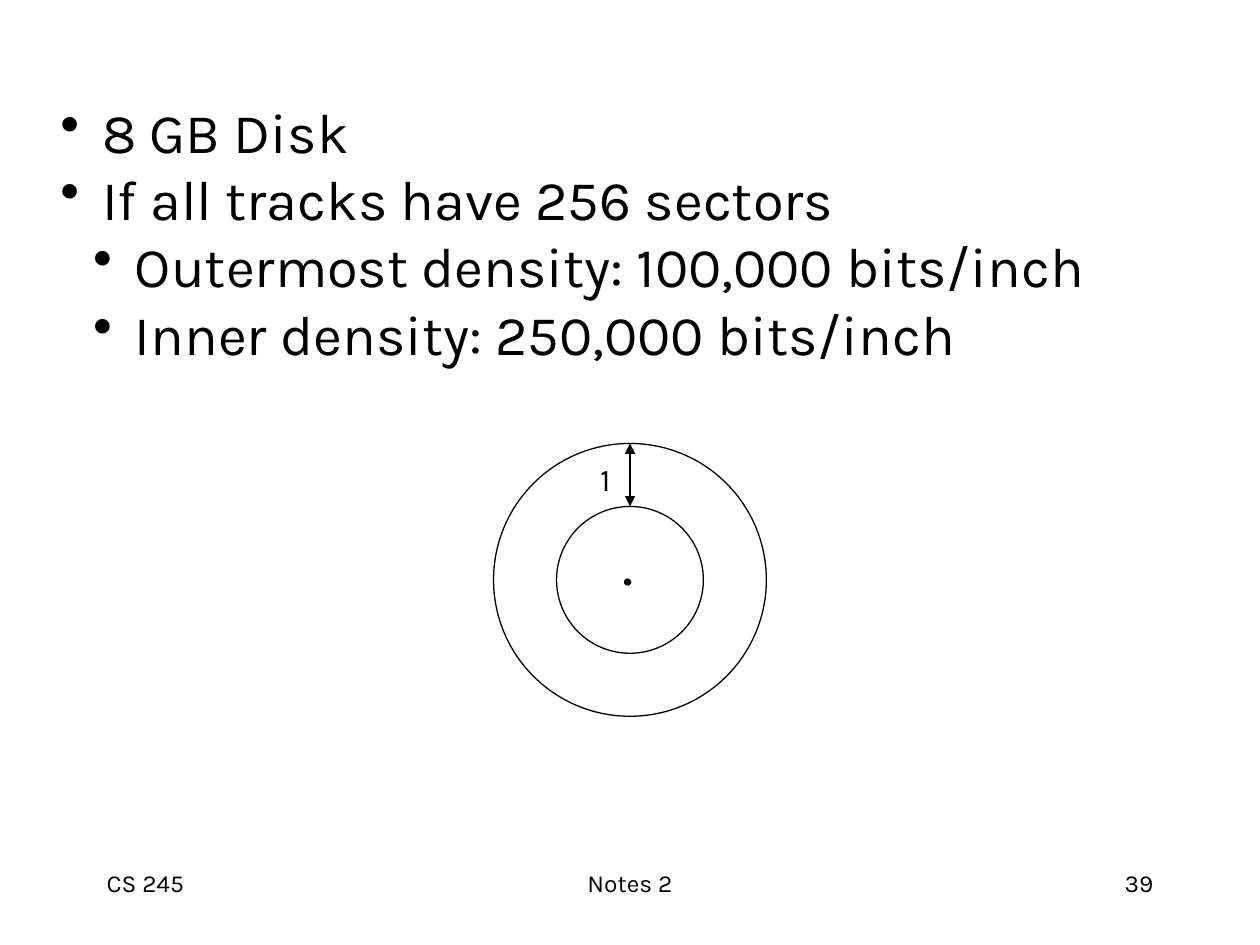
from dataclasses import dataclass

from lxml import etree
from pptx import Presentation
from pptx.dml.color import RGBColor
from pptx.enum.shapes import MSO_CONNECTOR, MSO_SHAPE
from pptx.enum.text import MSO_ANCHOR, PP_ALIGN
from pptx.oxml.ns import qn
from pptx.util import Cm, Pt

LEFT, CENTER, RIGHT = PP_ALIGN.LEFT, PP_ALIGN.CENTER, PP_ALIGN.RIGHT
TOP, MIDDLE = MSO_ANCHOR.TOP, MSO_ANCHOR.MIDDLE
OVAL, STRAIGHT = MSO_SHAPE.OVAL, MSO_CONNECTOR.STRAIGHT


@dataclass(frozen=True)
class Theme:
    font: str = "Karla"
    ink: RGBColor = RGBColor(0, 0, 0)
    paper: RGBColor = RGBColor(255, 255, 255)
    footer: int = 14
    label: int = 18
    body: int = 32
    hub: int = 36
    line: float = 0.74


class Page:
    def __init__(self, slide, theme):
        self.slide, self.theme = slide, theme
        background = slide.background.fill
        background.solid()
        background.fore_color.rgb = theme.paper

    def text(self, box, lines, size, align=LEFT, anchor=TOP, wrap=True):
        frame = self.slide.shapes.add_textbox(*map(Cm, box)).text_frame
        style = {"word_wrap": wrap, "vertical_anchor": anchor,
                 "margin_left": Cm(0.25), "margin_right": Cm(0.25),
                 "margin_top": Cm(0.13), "margin_bottom": Cm(0.13)}
        for key, value in style.items():
            setattr(frame, key, value)
        for index, line in enumerate(lines):
            paragraph = frame.add_paragraph() if index else frame.paragraphs[0]
            paragraph.alignment = align
            run = paragraph.add_run()
            run.text = line
            for key, value in {"name": self.theme.font, "size": Pt(size)}.items():
                setattr(run.font, key, value)
            run.font.color.rgb = self.theme.ink
        return frame

    def bullets(self, box, items, hang, step):
        lines = [line for _, line in items]
        frame = self.text(box, lines, self.theme.body, anchor=MIDDLE)
        for paragraph, (level, _) in zip(frame.paragraphs, items):
            paragraph.level = level
            props = paragraph._p.get_or_add_pPr()
            props.set("marL", str(Cm(hang + level * step)))
            props.set("indent", str(-Cm(hang)))
            etree.SubElement(props, qn("a:buChar")).set("char", "•")

    def circle(self, x, y, radius):
        shape = self.slide.shapes.add_shape(
            OVAL, Cm(x - radius), Cm(y - radius), Cm(2 * radius), Cm(2 * radius))
        shape.shadow.inherit = False
        shape.fill.solid()
        shape.fill.fore_color.rgb = self.theme.paper
        self.stroke(shape.line)

    def double_arrow(self, x1, y1, x2, y2):
        arrow = self.slide.shapes.add_connector(
            STRAIGHT, Cm(x1), Cm(y1), Cm(x2), Cm(y2))
        self.stroke(arrow.line)
        outline = arrow.line._get_or_add_ln()
        for end in ("a:headEnd", "a:tailEnd"):
            etree.SubElement(outline, qn(end)).set("type", "triangle")
        etree.SubElement(arrow._element.spPr, qn("a:effectLst"))

    def stroke(self, line):
        line.color.rgb = self.theme.ink
        line.width = Pt(self.theme.line)


deck = Presentation()
deck.slide_width, deck.slide_height = Cm(25.4), Cm(19.05)
theme = Theme()
page = Page(deck.slides.add_slide(deck.slide_layouts[6]), theme)

# Footer
for left, width, words, align in (
        (1.9, 5.29, "CS 245", LEFT),
        (8.68, 8.04, "Notes 2", CENTER),
        (18.21, 5.29, "39", RIGHT)):
    page.text((left, 17.36, width, 1.27), [words], theme.footer, align)

# Disk facts
facts = [(0, "8 GB Disk"),
         (0, "If all tracks have 256 sectors"),
         (1, "Outermost density: 100,000 bits/inch"),
         (1, "Inner density: 250,000 bits/inch")]
page.bullets((0.97, 1.83, 22.07, 5.69), facts, hang=0.84, step=0.66)

# Disk with its track band
center_x, center_y = 12.7, 11.69
outer, inner = 2.75, 1.48
for radius in (outer, inner):
    page.circle(center_x, center_y, radius)
page.double_arrow(center_x, center_y - outer, center_x, center_y - inner)
page.text((11.85, 9.14, 0.81, 1.02), ["1"], theme.label)
page.text((12.29, 10.41, 0.84, 1.78), ["."], theme.hub, wrap=False)

deck.save("out.pptx")
